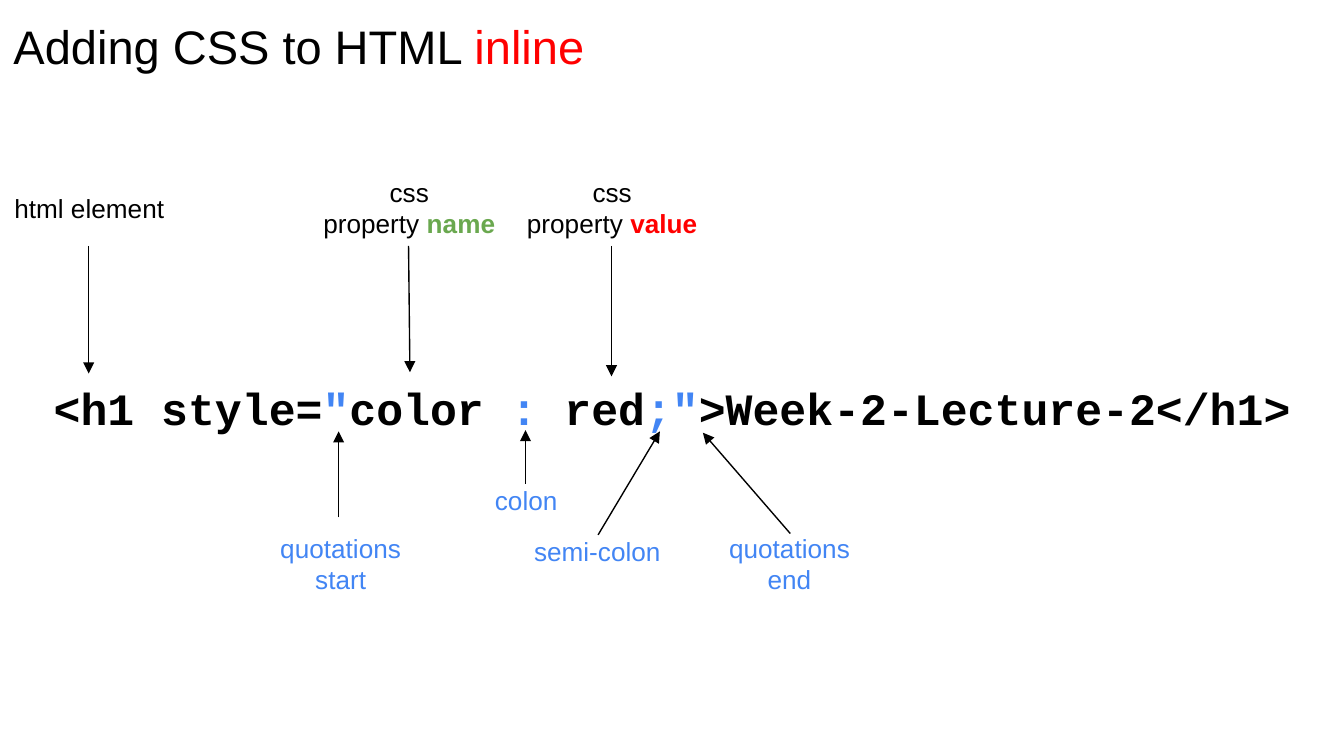
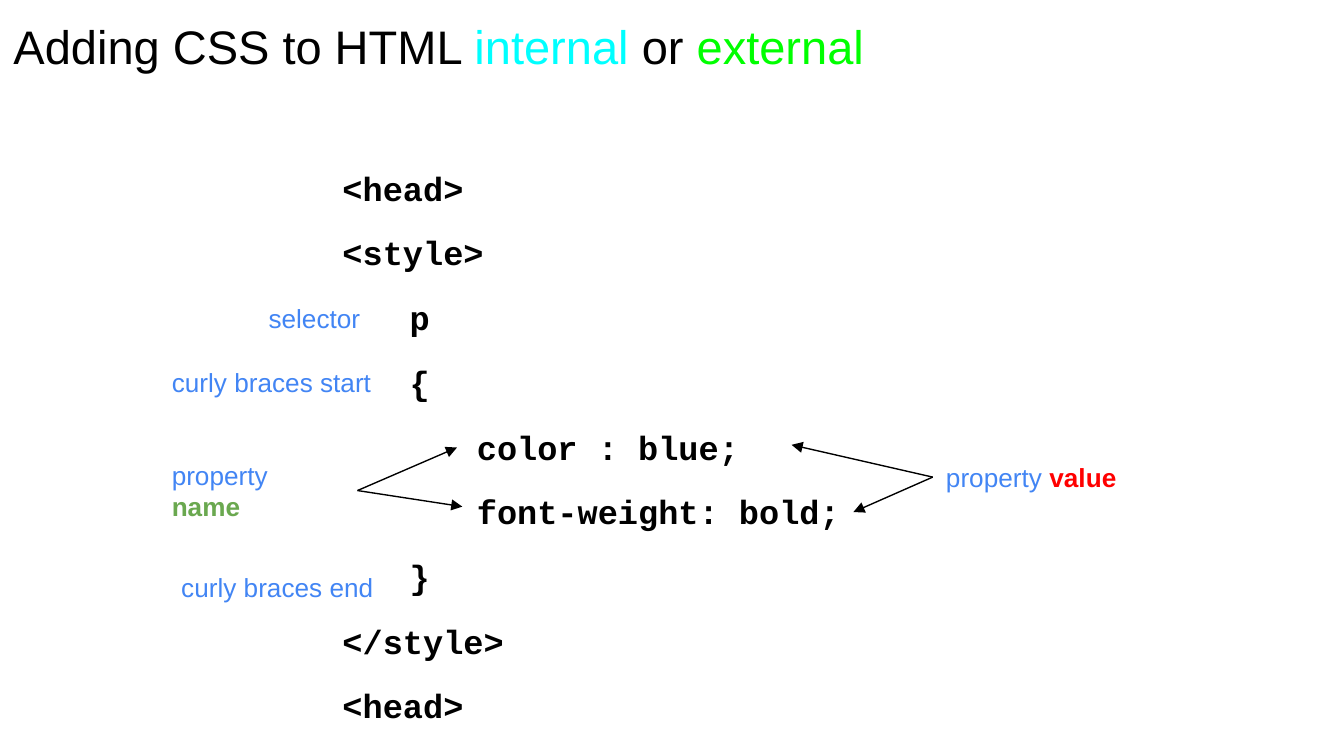
from dataclasses import dataclass
from typing import NamedTuple

from lxml.etree import SubElement
from pptx import Presentation
from pptx.dml.color import RGBColor
from pptx.enum.shapes import MSO_CONNECTOR
from pptx.enum.text import MSO_ANCHOR, MSO_AUTO_SIZE, PP_ALIGN
from pptx.oxml.ns import qn
from pptx.util import Inches, Pt

COLORS = {
    "black": "000000",
    "blue": "4285F4",
    "green": "6AA84F",
    "red": "FF0000",
    "cyan": "00FFFF",
    "lime": "00FF00",
}
BODY_FONT = "Arial"
CODE_FONT = "Courier New"
SLIDE_WIDTH = Inches(10)
SLIDE_HEIGHT = int(SLIDE_WIDTH * 9 / 16)
COLUMN = SLIDE_WIDTH / 100
ROW = SLIDE_HEIGHT / 56.25
INDENT = 5 * COLUMN


class Run(NamedTuple):
    """A piece of text in one colour and weight."""
    text: str
    color: str = "black"
    bold: bool = False


class Line(NamedTuple):
    """A paragraph with its indents in steps."""
    runs: tuple
    margin: int = 0
    first: int = 0


class Box(NamedTuple):
    """A place in columns and rows."""
    left: float
    top: float
    width: float
    height: float


class Arrow(NamedTuple):
    """An arrow's start and end in columns and rows."""
    start_column: float
    start_row: float
    end_column: float
    end_row: float


@dataclass(frozen=True)
class Label:
    """A caption beside the code."""
    box: Box
    lines: tuple


@dataclass(frozen=True)
class CodePage:
    """One slide with annotated code."""
    title: tuple
    code: tuple
    code_box: Box
    code_format: dict
    label_align: PP_ALIGN
    labels: tuple
    arrows: tuple


def blue_label(box: Box, text: str) -> Label:
    """Make a caption in plain blue."""
    return Label(box, (Line((Run(text, "blue"),)),))


def property_runs(color: str, word: str, word_color: str) -> tuple:
    """Make the runs that name a part of a property."""
    return Run("property ", color), Run(word, word_color, True)


def property_heading(left: float, word: str, word_color: str) -> Label:
    """Make a two-line caption above the code."""
    lines = (Line((Run("css"),)), Line(property_runs("black", word, word_color)))
    return Label(Box(left, 12.6, 15.1, 5.7), lines)


def code_line(text: str, margin: int = 0, first: int = 0) -> Line:
    """Make one bold line of code."""
    return Line((Run(text, bold=True),), margin, first)


def quoted_code() -> tuple:
    """Make the inline style example."""
    parts = (("<h1 style=", "black"), ("\"", "blue"), ("color ", "black"),
             (":", "blue"), (" red", "black"), (";\"", "blue"),
             (">Week-2-Lecture-2</h1>", "black"))
    return (Line(tuple(Run(text, color, True) for text, color in parts)),)


PAGES = (
    CodePage(
        title=(Run("Adding CSS to HTML "), Run("inline", "red")),
        code=quoted_code(),
        code_box=Box(0, 6.3, 100, 50),
        code_format=dict(size=24, align=PP_ALIGN.CENTER,
                         anchor=MSO_ANCHOR.MIDDLE, bottom=3),
        label_align=PP_ALIGN.CENTER,
        labels=(
            Label(Box(0, 12.6, 13.3, 5.7), (Line((Run("html element"),)),)),
            property_heading(22.9, "name", "green"),
            property_heading(38, "value", "red"),
            blue_label(Box(19.7, 39.7, 11.3, 4.5), "quotations start"),
            blue_label(Box(35.7, 36, 6.9, 2.4), "colon"),
            blue_label(Box(38.6, 39.8, 11.7, 2.4), "semi-colon"),
            blue_label(Box(53.1, 39.7, 11.3, 4.5), "quotations end"),
        ),
        arrows=(
            Arrow(6.6, 18.3, 6.6, 27.8),
            Arrow(30.4, 18.3, 30.5, 27.7),
            Arrow(45.5, 18.3, 45.5, 28),
            Arrow(25.2, 38.5, 25.2, 32.1),
            Arrow(58.8, 39.7, 52.3, 32.2),
            Arrow(39.1, 36, 39.1, 32),
            Arrow(44.5, 39.8, 49.1, 32.1),
        ),
    ),
    CodePage(
        title=(Run("Adding CSS to HTML "), Run("internal ", "cyan"),
               Run("or "), Run("external", "lime")),
        code=(
            code_line("<head>"),
            code_line("<style>"),
            code_line("p", 1),
            code_line("{", 1),
            code_line("color : blue;", 1, 1),
            code_line("font-weight: bold;", 1, 1),
            code_line("}", 1),
            code_line("</style>"),
            code_line("<head>"),
        ),
        code_box=Box(24.5, 6.3, 50, 50),
        code_format=dict(size=18, anchor=MSO_ANCHOR.BOTTOM, bottom=2.3,
                         line_spacing=1.05, space_before=12),
        label_align=PP_ALIGN.LEFT,
        labels=(
            blue_label(Box(19, 20.3, 9.4, 6.8), "selector"),
            blue_label(Box(11.8, 25.6, 17.8, 5.6), "curly braces start"),
            Label(Box(11.8, 33.1, 14.7, 6.8),
                  (Line(property_runs("blue", "name", "green")),)),
            Label(Box(69.4, 32.1, 14.8, 6.8),
                  (Line(property_runs("blue", "value", "red")),)),
            blue_label(Box(12.5, 40.3, 17.1, 6.8), "curly braces end"),
        ),
        arrows=(
            Arrow(26.6, 36.5, 34, 33.3),
            Arrow(26.6, 36.5, 34.4, 37.7),
            Arrow(69.4, 35.5, 58.9, 33.1),
            Arrow(69.4, 35.5, 63.5, 38.1),
        ),
    ),
)


def place(box: Box) -> tuple:
    """Turn grid units into slide lengths."""
    return (round(box.left * COLUMN), round(box.top * ROW),
            round(box.width * COLUMN), round(box.height * ROW))


def write_text(shape, lines: tuple, *, size: float, font: str = BODY_FONT,
               align: PP_ALIGN = PP_ALIGN.LEFT,
               anchor: MSO_ANCHOR = MSO_ANCHOR.MIDDLE,
               top: float = 1, bottom: float = 1,
               line_spacing: float = 1.0, space_before: float = 0) -> None:
    """Write formatted lines into a shape."""
    frame = shape.text_frame
    frame.word_wrap = True
    frame.auto_size = MSO_AUTO_SIZE.NONE
    frame.vertical_anchor = anchor
    frame.margin_left = frame.margin_right = round(COLUMN)
    frame.margin_top, frame.margin_bottom = round(top * ROW), round(bottom * ROW)
    for number, line in enumerate(lines):
        paragraph = frame.add_paragraph() if number else frame.paragraphs[0]
        paragraph.alignment = align
        paragraph.line_spacing = line_spacing
        paragraph.space_before = Pt(space_before if number else 0)
        properties = paragraph._p.get_or_add_pPr()
        properties.set("marL", str(round(line.margin * INDENT)))
        properties.set("indent", str(round(line.first * INDENT)))
        for part in line.runs:
            run = paragraph.add_run()
            run.text = part.text
            run.font.name = font
            run.font.size = Pt(size)
            run.font.bold = part.bold
            run.font.color.rgb = RGBColor.from_string(COLORS[part.color])


def add_text(slide, box: Box, lines: tuple, **text_format) -> None:
    """Add a text box."""
    write_text(slide.shapes.add_textbox(*place(box)), lines, **text_format)


def add_title(slide, runs: tuple) -> None:
    """Move and fill the title placeholder."""
    title = slide.shapes.title
    title.left, title.top, title.width, title.height = place(Box(0, 0, 100, 6.3))
    write_text(title, (Line(runs),), size=25.2, anchor=MSO_ANCHOR.TOP, top=1.3)


def add_arrow(slide, arrow: Arrow) -> None:
    """Add a thin line with a triangle at its end."""
    connector = slide.shapes.add_connector(
        MSO_CONNECTOR.STRAIGHT,
        round(arrow.start_column * COLUMN), round(arrow.start_row * ROW),
        round(arrow.end_column * COLUMN), round(arrow.end_row * ROW))
    connector.line.width = Pt(0.75)
    connector.line.color.rgb = RGBColor.from_string(COLORS["black"])
    SubElement(connector.line._get_or_add_ln(), qn("a:tailEnd"), type="triangle")
    SubElement(connector._element.spPr, qn("a:effectLst"))


def add_page(presentation, page: CodePage) -> None:
    """Build one slide."""
    slide = presentation.slides.add_slide(presentation.slide_layouts[5])
    add_title(slide, page.title)
    add_text(slide, page.code_box, page.code, font=CODE_FONT, **page.code_format)
    for label in page.labels:
        add_text(slide, label.box, label.lines, size=14, align=page.label_align)
    for arrow in page.arrows:
        add_arrow(slide, arrow)


def main() -> None:
    """Build and save the presentation."""
    presentation = Presentation()
    presentation.slide_width = SLIDE_WIDTH
    presentation.slide_height = SLIDE_HEIGHT
    for page in PAGES:
        add_page(presentation, page)
    presentation.save("out.pptx")


if __name__ == "__main__":
    main()
